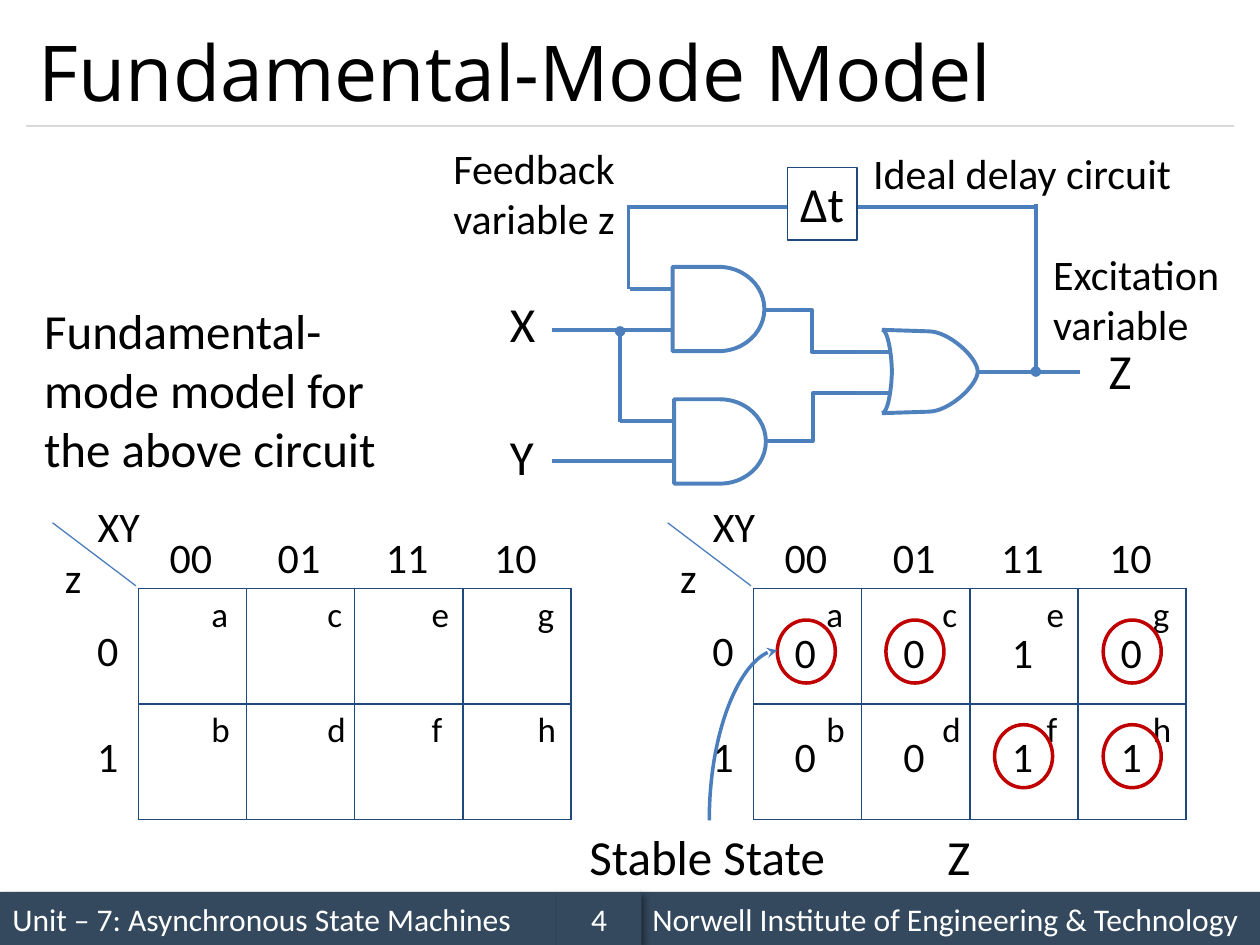
from dataclasses import dataclass

from lxml import etree
from pptx import Presentation
from pptx.dml.color import RGBColor
from pptx.enum.shapes import MSO_CONNECTOR, MSO_SHAPE
from pptx.enum.text import MSO_ANCHOR, MSO_AUTO_SIZE, PP_ALIGN
from pptx.oxml import parse_xml
from pptx.oxml.ns import nsdecls, qn
from pptx.util import Cm, Pt

STRAIGHT, ELBOW, CURVE = MSO_CONNECTOR.STRAIGHT, MSO_CONNECTOR.ELBOW, MSO_CONNECTOR.CURVE
RECTANGLE, OVAL, AND_GATE = MSO_SHAPE.RECTANGLE, MSO_SHAPE.OVAL, MSO_SHAPE.FLOWCHART_DELAY
MIDDLE, LEFT, CENTER = MSO_ANCHOR.MIDDLE, PP_ALIGN.LEFT, PP_ALIGN.CENTER
FIT_SHAPE, NO_FIT = MSO_AUTO_SIZE.SHAPE_TO_FIT_TEXT, MSO_AUTO_SIZE.NONE


@dataclass(frozen=True)
class Theme:
    text: str = "000000"
    paper: str = "FFFFFF"
    bar: str = "34495E"
    divider: str = "D9D9D9"
    gate: str = "4F81BD"
    wire: str = "4B7EBC"
    border: str = "1F497D"
    ring: str = "C00000"
    title_font: str = "Open Sans"
    font: str = "Calibri"
    title_size: int = 44
    large: int = 28
    medium: int = 24
    small: int = 20
    footer: int = 18


def rgb(value):
    return RGBColor.from_string(value)


def bezier(p0, p1, p2, p3, steps=16):
    """Points along a cubic curve, both ends included."""
    points = []
    for step in range(steps + 1):
        t = step / steps
        weights = ((1 - t) ** 3, 3 * t * (1 - t) ** 2, 3 * t * t * (1 - t), t ** 3)
        points.append(tuple(sum(w * p[axis] for w, p in zip(weights, (p0, p1, p2, p3)))
                            for axis in (0, 1)))
    return points


class SlideBuilder:
    """Draws on one slide; all positions are in centimetres."""

    def __init__(self, slide, theme):
        self.shapes, self.theme = slide.shapes, theme

    def add_text(self, frame, text, size, color=None, font=None, align=LEFT):
        paragraph = frame.paragraphs[0]
        paragraph.alignment = align
        run = paragraph.add_run()
        run.text = text
        run.font.size = Pt(size)
        run.font.name = font or self.theme.font
        run.font.color.rgb = rgb(color or self.theme.text)

    def title(self, text, left, top, width, height):
        title = self.shapes.title
        title.left, title.top, title.width, title.height = map(Cm, (left, top, width, height))
        title.text_frame.vertical_anchor = MIDDLE
        title.text_frame.auto_size = NO_FIT
        self.add_text(title.text_frame, text, self.theme.title_size, font=self.theme.title_font)

    def label(self, text, left, top, width, size, lines=1, wrap=False):
        height = (1.22 * size * lines + 7.2) * 2.54 / 72
        box = self.shapes.add_textbox(Cm(left), Cm(top), Cm(width), Cm(height))
        box.text_frame.word_wrap = wrap
        box.text_frame.auto_size = FIT_SHAPE
        self.add_text(box.text_frame, text, size)
        return box

    def outline(self, shape, color, weight):
        shape.line.color.rgb = rgb(color)
        shape.line.width = Pt(weight)

    def shape(self, kind, left, top, width, height, color, weight):
        shape = self.shapes.add_shape(kind, Cm(left), Cm(top), Cm(width), Cm(height))
        shape.shadow.inherit = False
        shape.fill.background()
        self.outline(shape, color, weight)

    def bar(self, text, left, width, align=LEFT):
        bar = self.shapes.add_shape(RECTANGLE, Cm(left), Cm(17.98), Cm(width), Cm(1.07))
        bar.fill.solid()
        bar.fill.fore_color.rgb = rgb(self.theme.bar)
        bar.line.fill.background()
        bar.shadow.inherit = False
        bar.element.spPr.find(qn("a:effectLst")).append(parse_xml(
            f'<a:outerShdw {nsdecls("a")} blurRad="50800" dist="38100" dir="2700000">'
            '<a:srgbClr val="000000"><a:alpha val="40000"/></a:srgbClr></a:outerShdw>'))
        bar.text_frame.vertical_anchor = MIDDLE
        self.add_text(bar.text_frame, text, self.theme.footer, self.theme.paper, align=align)

    def line(self, start, end, color, weight, kind=STRAIGHT, head=None, tail=None):
        """Draws a connector and returns its geometry element."""
        line = self.shapes.add_connector(kind, *map(Cm, (*start, *end)))
        self.outline(line, color, weight)
        properties = line.element.spPr
        for tag, ending in (("a:headEnd", head), ("a:tailEnd", tail)):
            if ending:
                etree.SubElement(properties.find(qn("a:ln")), qn(tag), type=ending)
        etree.SubElement(properties, qn("a:effectLst"))
        return properties.find(qn("a:prstGeom"))

    def path_through(self, points, color, weight):
        (x, y), *rest = [(Cm(px), Cm(py)) for px, py in points]
        builder = self.shapes.build_freeform(x, y)
        builder.add_line_segments(rest, close=False)
        outline = builder.convert_to_shape()
        outline.shadow.inherit = False
        outline.fill.background()
        self.outline(outline, color, weight)

    def grid(self, left, top, rows, columns, row_height, column_width):
        table = self.shapes.add_table(rows, columns, Cm(left), Cm(top), Cm(columns * column_width),
                                      Cm(rows * row_height)).table
        table.first_row = table.horz_banding = False
        for column in table.columns:
            column.width = Cm(column_width)
        for row in table.rows:
            row.height = Cm(row_height)
        for cell in table.iter_cells():
            cell.fill.background()
            properties = cell._tc.get_or_add_tcPr()
            for position, side in enumerate(("lnL", "lnR", "lnT", "lnB")):
                properties.insert(position, parse_xml(
                    f'<a:{side} {nsdecls("a")} w="12700"><a:solidFill>'
                    f'<a:srgbClr val="{self.theme.border}"/></a:solidFill></a:{side}>'))


def draw_frame(page):
    page.bar("Unit – 7: Asynchronous State Machines", 0, 11.23)
    page.line((0.53, 2.54), (24.87, 2.54), page.theme.divider, 0.75)
    page.bar("Norwell Institute of Engineering & Technology", 12.9, 12.5)
    page.bar("4", 11.23, 1.7, CENTER)
    page.title("Fundamental-Mode Model", 0.53, 0.3, 24.33, 2.24)


def draw_or_gate(page, axis=7.49):
    front = [(17.78, 6.65)] + bezier((18.72, 6.68), (19.13, 6.68), (19.71, 7.21), (19.71, axis))
    back = bezier((17.78, 6.65), (17.91, 6.65), (17.98, 7.21), (17.98, axis))
    for upper in (front, back):
        lower = [(x, 2 * axis - y) for x, y in reversed(upper[:-1])]
        page.path_through(upper + lower, page.theme.gate, 2.25)


def draw_circuit(page):
    theme = page.theme
    for left, right, y in ((11.13, 13.61, 9.3), (12.5, 13.61, 8.48), (15.47, 16, 8.89),
                           (11.13, 13.59, 6.65), (12.7, 13.59, 5.82), (15.44, 15.98, 6.25),
                           (17.17, 17.96, 7.92), (17.17, 17.96, 7.09), (19.71, 21.77, 7.49)):
        page.line((left, y), (right, y), theme.gate, 2.25)
    for left, top in ((13.59, 8.05), (13.56, 5.38)):
        page.shape(AND_GATE, left, top, 1.85, 1.7, theme.gate, 2.25)
    draw_or_gate(page)
    page.line((15.52, 8.89), (17.25, 7.92), theme.wire, 2.25, ELBOW)
    upper_link = page.line((15.95, 6.25), (17.25, 7.09), theme.wire, 2.25, ELBOW)
    etree.SubElement(upper_link.find(qn("a:avLst")), qn("a:gd"), name="adj1", fmla="val 31700")
    page.line((20.85, 4.17), (12.67, 4.17), theme.wire, 2)
    page.line((12.5, 8.51), (12.5, 6.68), theme.wire, 2, tail="oval")
    page.line((12.67, 5.82), (12.67, 4.14), theme.wire, 2)
    page.line((20.88, 7.49), (20.88, 4.11), theme.wire, 2, head="oval")
    for name, left, top in (("X", 10.03, 5.79), ("Y", 10.03, 8.48), ("Z", 22.1, 6.73)):
        page.label(name, left, top, 1, theme.large)
    page.label("Fundamental-mode model for the above circuit", 0.64, 5.94, 7.77,
               theme.large, lines=3, wrap=True)
    delay = page.label("Δt", 15.88, 3.38, 1.4, theme.large)
    delay.fill.solid()
    delay.fill.fore_color.rgb = rgb(theme.paper)
    page.outline(delay, theme.border, 0.75)
    page.label("Feedback variable z", 8.89, 2.74, 3.99, theme.medium, lines=2, wrap=True)
    page.label("Excitation variable", 20.98, 4.88, 3.99, theme.medium, lines=2, wrap=True)
    page.label("Ideal delay circuit", 17.35, 2.84, 7.09, theme.medium, wrap=True)


def draw_map(page, left, top, values=()):
    """State map; a value equal to its row's z is stable and gets a ring."""
    theme, row_height, column_width = page.theme, 2.33, 2.18
    page.grid(left, top, 2, 4, row_height, column_width)
    page.line((left - 0.05, top - 0.05), (left - 1.73, top - 1.32), theme.wire, 0.75)
    page.label("XY", left - 1.07, top - 1.9, 1.37, theme.medium)
    page.label("z", left - 1.73, top - 0.86, 0.86, theme.medium)
    for column, inputs in enumerate(("00", "01", "11", "10")):
        page.label(inputs, left + 0.38 + column * column_width, top - 1.28, 1.37, theme.medium)
    for row, (z, states) in enumerate((("0", "aceg"), ("1", "bdfh"))):
        page.label(z, left - 1.08, top + 0.61 + row * 2.13, 0.94, theme.medium)
        for offset, state in zip((1.22, 3.56, 5.66, 7.8), states):
            page.label(state, left + offset, top - 0.05 + row * row_height, 0.86, theme.small)
    for row, row_values in enumerate(values):
        for column, value in enumerate(row_values):
            x, y = left + 0.58 + column * 2.19, top + 0.64 + row * 2.11
            page.label(value, x, y, 0.94, theme.medium)
            if value == str(row):
                page.shape(OVAL, x - 0.1, y, 1.17, 1.27, theme.ring, 2)


def main():
    deck = Presentation()
    deck.slide_width, deck.slide_height = Cm(25.4), Cm(19.05)
    page = SlideBuilder(deck.slides.add_slide(deck.slide_layouts[5]), Theme())
    draw_frame(page)
    draw_circuit(page)
    draw_map(page, 2.79, 11.86)
    draw_map(page, 15.19, 11.86, ("0010", "0011"))
    page.label("Z", 18.85, 16.54, 1, page.theme.large)
    page.label("Stable State", 11.63, 16.54, 5.31, page.theme.large, wrap=True)
    pointer = page.line((15.67, 13.11), (14.3, 16.54), page.theme.wire, 2, CURVE, head="stealth")
    pointer.set("prst", "curvedConnector2")
    deck.save("out.pptx")


if __name__ == "__main__":
    main()
